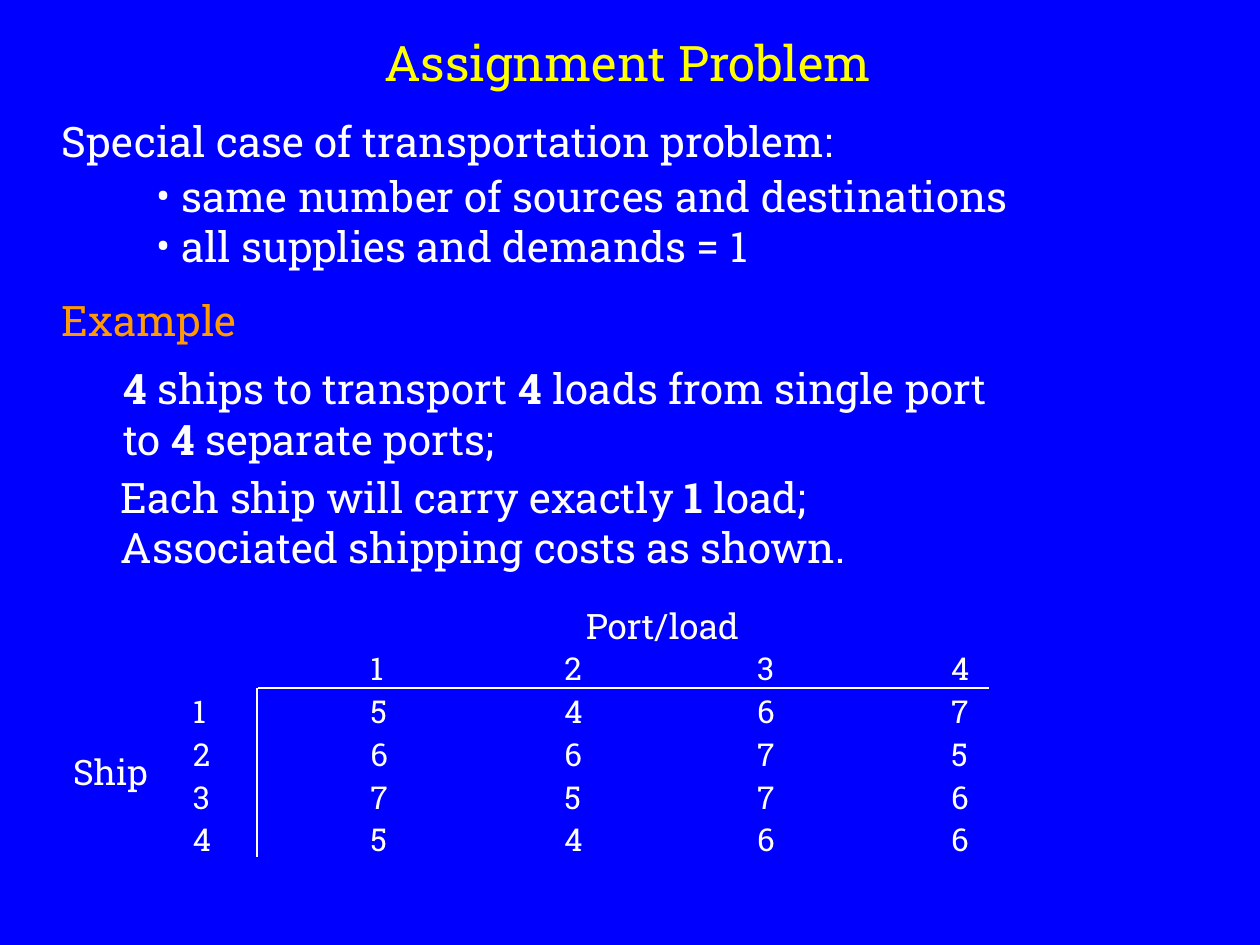
"""Build a slide that sets out the assignment problem with a table of shipping costs."""
import dataclasses

import lxml.etree
import pptx
import pptx.dml.color
import pptx.enum.shapes
import pptx.enum.text
import pptx.oxml.ns
import pptx.util

Inches = pptx.util.Inches
Pt = pptx.util.Pt
qn = pptx.oxml.ns.qn


@dataclasses.dataclass(frozen=True)
class Theme:
    font: str = "Roboto Slab"
    back: str = "0000FF"
    text: str = "FFFFFF"
    title: str = "FFFF00"
    accent: str = "FF9900"
    head_size: int = 28
    body_size: int = 24
    label_size: int = 20
    cell_size: int = 18
    rule: float = 0.75


THEME = Theme()

COSTS = [
    ["", "1", "2", "3", "4"],
    ["1", "5", "4", "6", "7"],
    ["2", "6", "6", "7", "5"],
    ["3", "7", "5", "7", "6"],
    ["4", "5", "4", "6", "6"],
]


def rgb(code):
    return pptx.dml.color.RGBColor.from_string(code)


def style(font, size, color):
    font.name = THEME.font
    font.size = Pt(size)
    font.color.rgb = rgb(color)


def add_title(slide, text):
    title = slide.shapes.title
    title.left, title.top = Inches(0.73), Inches(0.24)
    title.width, title.height = Inches(8.5), Inches(0.51)
    frame = title.text_frame
    frame.text = text
    frame.vertical_anchor = pptx.enum.text.MSO_ANCHOR.MIDDLE
    para = frame.paragraphs[0]
    para.alignment = pptx.enum.text.PP_ALIGN.CENTER
    style(para.runs[0].font, THEME.head_size, THEME.title)


def add_bullet(para):
    props = para._p.get_or_add_pPr()
    props.set("marL", str(Inches(0.2)))
    props.set("indent", str(-Inches(0.2)))
    lxml.etree.SubElement(props, qn("a:buFont")).set("typeface", THEME.font)
    lxml.etree.SubElement(props, qn("a:buChar")).set("char", "•")


def add_text(slide, place, lines, size=THEME.body_size, color=THEME.text, bullet=False):
    """Add a text box in which words between asterisks are bold."""
    box = slide.shapes.add_textbox(*map(Inches, place))
    frame = box.text_frame
    frame.word_wrap = False
    frame.margin_left = frame.margin_right = frame.margin_top = frame.margin_bottom = 0
    for row, line in enumerate(lines):
        para = frame.add_paragraph() if row else frame.paragraphs[0]
        if bullet:
            add_bullet(para)
        for part, words in enumerate(line.split("*")):
            if words:
                run = para.add_run()
                run.text = words
                style(run.font, size, color)
                run.font.bold = part % 2 == 1


def clear_edges(cell):
    props = cell._tc.get_or_add_tcPr()
    for side in "LRTB":
        edge = lxml.etree.SubElement(props, qn(f"a:ln{side}"), w="0")
        lxml.etree.SubElement(edge, qn("a:noFill"))


def fill_cell(cell, text, inset):
    cell.margin_left, cell.margin_top = Inches(inset), Inches(0.02)
    cell.margin_right = cell.margin_bottom = 0
    clear_edges(cell)
    cell.fill.background()
    cell.text = text
    para = cell.text_frame.paragraphs[0]
    style(para.font, THEME.cell_size, THEME.text)
    for run in para.runs:
        style(run.font, THEME.cell_size, THEME.text)


def add_rule(slide, start, end):
    kind = pptx.enum.shapes.MSO_CONNECTOR.STRAIGHT
    rule = slide.shapes.add_connector(kind, *map(Inches, start + end))
    rule.line.color.rgb = rgb(THEME.text)
    rule.line.width = Pt(THEME.rule)
    lxml.etree.SubElement(rule._element.spPr, qn("a:effectLst"))


def add_costs(slide, left, top):
    """Add the cost table and the two rules that set off its headings."""
    widths = [0.52, 1.54, 1.53, 1.54, 1.18]
    height = 0.34
    count = len(COSTS)
    frame = slide.shapes.add_table(count, len(widths), Inches(left), Inches(top),
                                   Inches(sum(widths)), Inches(height * count))
    table = frame.table
    table.first_row = table.horz_banding = False
    for column, width in zip(table.columns, widths):
        column.width = Inches(width)
    for row, values in enumerate(COSTS):
        table.rows[row].height = Inches(height)
        for col, text in enumerate(values):
            fill_cell(table.cell(row, col), text, 0.89 if col else 0)
    side, head = left + widths[0], top + height
    add_rule(slide, (side, head), (7.85, head))
    add_rule(slide, (side - 0.01, head), (side - 0.01, 6.8))


def main():
    deck = pptx.Presentation()
    deck.slide_width, deck.slide_height = Inches(10), Inches(7.5)
    slide = deck.slides.add_slide(deck.slide_layouts[5])
    slide.background.fill.solid()
    slide.background.fill.fore_color.rgb = rgb(THEME.back)

    add_title(slide, "Assignment Problem")
    add_text(slide, (0.49, 0.92, 6.39, 0.4), ["Special case of transportation problem:"])
    add_text(slide, (1.24, 1.35, 7.1, 0.8),
             ["same number of sources and destinations", "all supplies and demands = 1"],
             bullet=True)
    add_text(slide, (0.49, 2.34, 1.41, 0.4), ["Example"], color=THEME.accent)
    add_text(slide, (0.98, 2.88, 7.34, 0.8),
             ["*4* ships to transport *4* loads from single port", "to *4* separate ports;"])
    add_text(slide, (0.96, 3.74, 6.04, 0.8),
             ["Each ship will carry exactly *1* load;", "Associated shipping costs as shown."])
    add_text(slide, (4.65, 4.8, 1.3, 0.33), ["Port/load"], THEME.label_size)
    add_text(slide, (0.58, 5.96, 0.62, 0.33), ["Ship"], THEME.label_size)
    add_costs(slide, 1.53, 5.12)
    deck.save("out.pptx")


if __name__ == "__main__":
    main()
